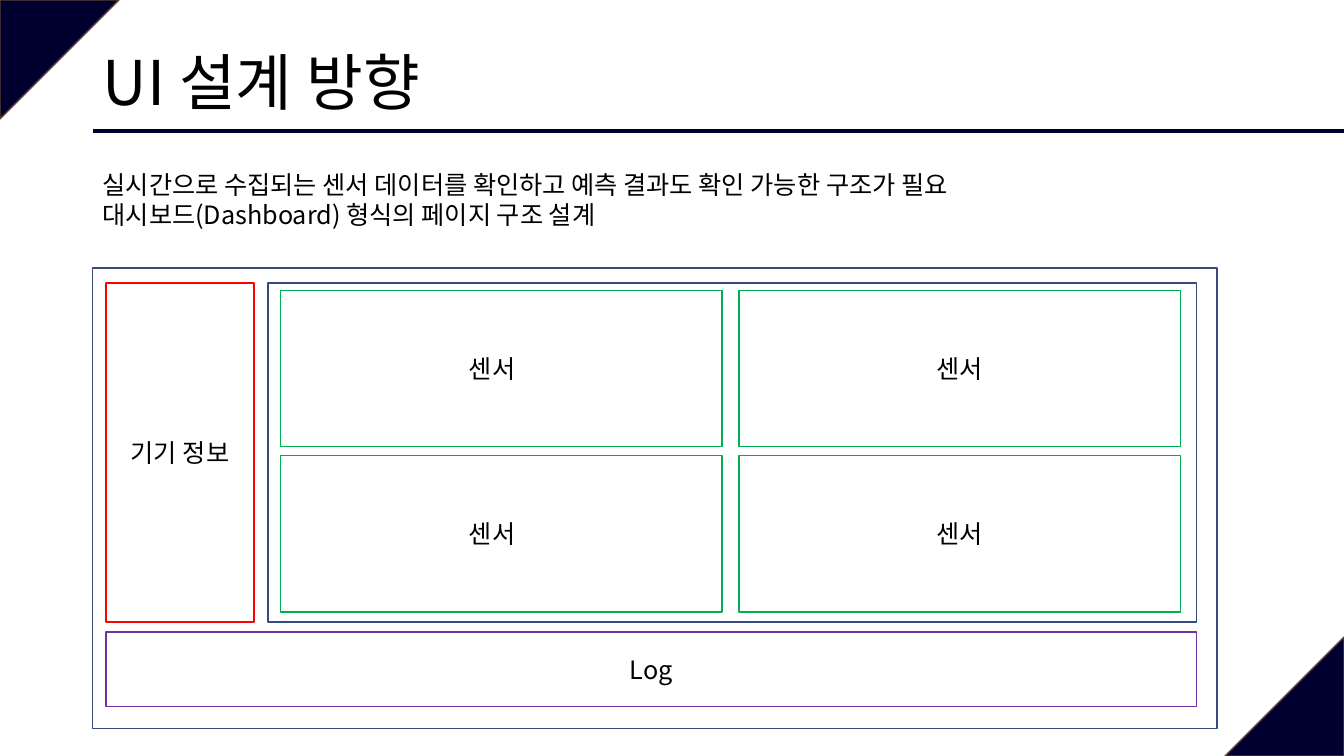
from pptx import Presentation
from pptx.dml.color import RGBColor
from pptx.enum.shapes import MSO_CONNECTOR as CONN, MSO_SHAPE as SHAPE
from pptx.enum.text import MSO_ANCHOR as ANCHOR, MSO_AUTO_SIZE as FIT, PP_ALIGN as ALIGN
from pptx.oxml.xmlchemy import OxmlElement
from pptx.util import Inches, Pt

W, H = 13.33, 7.5
MARGIN = 0.92
FONT = "Noto Sans CJK KR"
NAVY, BROWN, BLACK = "00002F", "5B3F33", "000000"
BLUE, GREEN, RED, PURPLE = "374B7F", "00B050", "FF0000", "7030A0"
BODY = {"name": FONT, "size": Pt(18)}
HEADING = {"name": FONT, "size": Pt(44)}


def color(value):
    return RGBColor.from_string(value)


def inches(*lengths):
    return [Inches(n) for n in lengths]


def write(p, text, fmt):
    r = p.add_run()
    r.text = text
    for key, value in fmt.items():
        setattr(r.font, key, value)
    r.font.color.rgb = color(BLACK)
    ea = OxmlElement("a:ea")
    ea.set("typeface", FONT)
    r.font._element.append(ea)


def add_box(s, box, line, fill=None, shape=SHAPE.RECTANGLE):
    sp = s.shapes.add_shape(shape, *inches(*box))
    sp.shadow.inherit = False
    if fill:
        sp.fill.solid()
        sp.fill.fore_color.rgb = color(fill)
    else:
        sp.fill.background()
    sp.line.color.rgb = color(line)
    sp.line.width = Pt(1)
    return sp


def add_text(s, box, lines, align=ALIGN.LEFT):
    tf = s.shapes.add_textbox(*inches(*box)).text_frame
    for key, value in {"word_wrap": False, "auto_size": FIT.SHAPE_TO_FIT_TEXT}.items():
        setattr(tf, key, value)
    for i, line in enumerate(lines):
        p = tf.add_paragraph() if i else tf.paragraphs[0]
        p.alignment = align
        write(p, line, BODY)


def add_label(s, cx, cy, w, text):
    add_text(s, (cx - w / 2, cy - 0.2, w, 0.4), [text], ALIGN.CENTER)


def add_corners(s, size):
    for x, y, turn in ((0, 0, 90), (W - size, H - size, 270)):
        sp = add_box(s, (x, y, size, size), BROWN, NAVY, SHAPE.ISOSCELES_TRIANGLE)
        sp.adjustments[0] = 0
        sp.rotation = turn


def add_header(s, x, y, w, h):
    rule = s.shapes.add_connector(CONN.STRAIGHT, *inches(x, y + h, x + w, y + h))
    rule.line.color.rgb = color(NAVY)
    rule.line.width = Pt(2.25)
    rule._element.spPr.append(OxmlElement("a:effectLst"))
    title = s.shapes.title
    for key, value in zip(("left", "top", "width", "height"), inches(x, y, w, h)):
        setattr(title, key, value)
    tf = title.text_frame
    for key, value in {"vertical_anchor": ANCHOR.MIDDLE, "word_wrap": True,
                       "auto_size": FIT.NONE}.items():
        setattr(tf, key, value)
    p = tf.paragraphs[0]
    p.alignment = ALIGN.LEFT
    p.line_spacing = 0.9
    write(p, "UI 설계 방향", HEADING)


def add_sensors(s, x, y, w, h):
    add_box(s, (x, y, w, h), BLUE)
    cell_w, cell_h = 4.38, 1.55
    for row in range(2):
        for col in range(2):
            left, top = x + 0.12 + col * 4.55, y + 0.07 + row * 1.64
            add_box(s, (left, top, cell_w, cell_h), GREEN)
            add_label(s, x + 2.22 + col * 4.64, top + cell_h / 2, 0.68, "센서")


def add_dashboard(s, x, y, w, h):
    add_box(s, (x, y, w, h), BLUE)
    left, top, panel_h = x + 0.13, y + 0.15, 3.36
    add_sensors(s, x + 1.74, top, 9.21, panel_h)
    panels = ((top, 1.47, panel_h, RED, 1.22, "기기 정보"),
              (y + 3.61, 10.82, 0.74, PURPLE, 0.63, "Log"))
    for panel_y, panel_w, height, line, label_w, text in panels:
        add_box(s, (left, panel_y, panel_w, height), line)
        add_label(s, left + panel_w / 2, panel_y + height / 2, label_w, text)


def main():
    prs = Presentation()
    prs.slide_width, prs.slide_height = inches(W, H)
    s = prs.slides.add_slide(prs.slide_layouts[5])
    add_corners(s, 1.18)
    add_header(s, MARGIN, 0.4, W - MARGIN, 0.9)
    add_text(s, (MARGIN, 1.63, 8.95, 0.71), [
        "실시간으로 수집되는 센서 데이터를 확인하고 예측 결과도 확인 가능한 구조가 필요",
        "대시보드(Dashboard) 형식의 페이지 구조 설계",
    ])
    add_dashboard(s, MARGIN, 2.66, 11.15, 4.57)
    prs.save("out.pptx")


if __name__ == "__main__":
    main()
